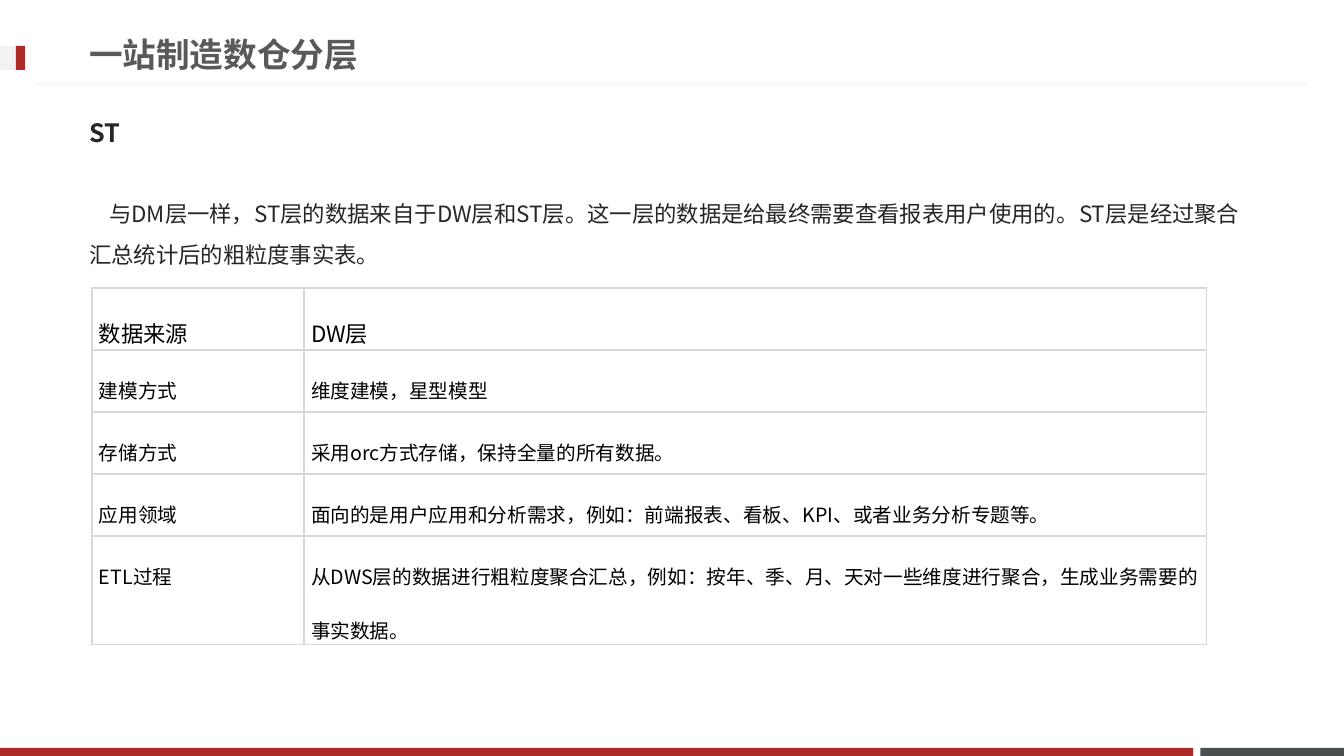
"""Build the slide that describes the ST layer of a manufacturing data warehouse."""
from lxml import etree
from pptx import Presentation, util as u
from pptx.dml.color import RGBColor
from pptx.enum import shapes, text
from pptx.oxml.ns import qn

PX = 914400 / 100.8
SANS_SC, SANS_JP = "Noto Sans CJK SC", "Noto Sans CJK JP"
RED, PALE, SLATE, BORDER = "AD2B26", "F2F2F2", "49504F", "D8D8D8"

BARS = [
    ((1200, 748, 144, 8), SLATE),
    ((0, 748, 1193, 8), RED),
    ((0, 46, 25, 24), PALE),
    ((16, 46, 9, 24), RED),
]
RULE = (1308, 85, 35, 85)
TEXTS = [
    {"words": "一站制造数仓分层", "box": (79, 26, 967, 57), "anchor": text.MSO_ANCHOR.MIDDLE,
     "font": {"name": "Lato", "size": 24, "bold": True, "color": "595959"},
     "paragraph": {}},
    {"words": "ST", "box": (79, 104, 1179, 57), "anchor": text.MSO_ANCHOR.MIDDLE,
     "font": {"name": SANS_JP, "size": 18, "bold": True, "color": "262626"},
     "paragraph": {}},
    {"words": "与DM层一样，ST层的数据来自于DW层和ST层。这一层的数据是给最终需要查看报表用户使用的。"
              "ST层是经过聚合汇总统计后的粗粒度事实表。",
     "box": (79, 182, 1179, 465), "anchor": text.MSO_ANCHOR.TOP,
     "font": {"name": SANS_JP, "size": 16, "bold": False, "color": "262626"},
     "paragraph": {"line_spacing": 1.5}, "indent": 20},
]
ROWS = [
    ("数据来源", "DW层"),
    ("建模方式", "维度建模，星型模型"),
    ("存储方式", "采用orc方式存储，保持全量的所有数据。"),
    ("应用领域", "面向的是用户应用和分析需求，例如：前端报表、看板、KPI、或者业务分析专题等。"),
    ("ETL过程", "从DWS层的数据进行粗粒度聚合汇总，例如：按年、季、月、天对一些维度进行聚合，"
              "生成业务需要的事实数据。"),
]
TABLE_LEFT, TABLE_TOP = 92, 288
COLUMN_WIDTHS = (212, 902)
ROW_HEIGHTS = (62, 62, 62, 62, 90)
CELL_FORMAT = {"margin_left": 7, "margin_right": 7, "margin_top": 0, "margin_bottom": 0}


def px(*lengths):
    return [u.Emu(round(length * PX)) for length in lengths]


def rgb(color):
    return RGBColor.from_string(color)


def set_all(target, values):
    for name, value in values.items():
        setattr(target, name, value)


def write(paragraph, words, name, size, bold, color):
    run = paragraph.add_run()
    run.text = words
    set_all(run.font, {"name": name, "size": u.Pt(size), "bold": bold})
    run.font.color.rgb = rgb(color)
    east_asian = SANS_SC if name == "Lato" else name
    etree.SubElement(run.font._element, qn("a:ea"), typeface=east_asian)


def add_bar(slide, box, color):
    bar = slide.shapes.add_shape(shapes.MSO_SHAPE.RECTANGLE, *px(*box))
    bar.shadow.inherit = False
    bar.fill.solid()
    bar.fill.fore_color.rgb = rgb(color)
    bar.line.fill.background()


def add_rule(slide):
    rule = slide.shapes.add_connector(shapes.MSO_CONNECTOR.STRAIGHT, *px(*RULE))
    rule.line.color.rgb = rgb(PALE)
    rule.line.width = u.Pt(0.75)
    etree.SubElement(rule._element.spPr, qn("a:effectLst"))


def fill_placeholder(placeholder, item):
    set_all(placeholder, dict(zip(("left", "top", "width", "height"), px(*item["box"]))))
    frame = placeholder.text_frame
    set_all(frame, {"word_wrap": True, "auto_size": text.MSO_AUTO_SIZE.NONE,
                    "vertical_anchor": item["anchor"]})
    paragraph = frame.paragraphs[0]
    set_all(paragraph, {"alignment": text.PP_ALIGN.LEFT, **item["paragraph"]})
    properties = paragraph._p.get_or_add_pPr()
    properties.set("marL", "0")
    properties.set("indent", str(px(item.get("indent", 0))[0]))
    etree.SubElement(properties, qn("a:buNone"))
    write(paragraph, item["words"], **item["font"])


def add_borders(cell):
    properties = cell._tc.get_or_add_tcPr()
    for side in ("L", "R", "T", "B"):
        line = etree.SubElement(properties, qn(f"a:ln{side}"), w=str(u.Pt(1)))
        fill = etree.SubElement(line, qn("a:solidFill"))
        etree.SubElement(fill, qn("a:srgbClr"), val=BORDER)


def add_layer_table(slide):
    box = px(TABLE_LEFT, TABLE_TOP, sum(COLUMN_WIDTHS), sum(ROW_HEIGHTS))
    table = slide.shapes.add_table(len(ROWS), len(COLUMN_WIDTHS), *box).table
    set_all(table, {"first_row": False, "horz_banding": False})
    for column, width in zip(table.columns, px(*COLUMN_WIDTHS)):
        column.width = width
    for index, (row, height) in enumerate(zip(table.rows, px(*ROW_HEIGHTS))):
        row.height = height
        for cell, words in zip(row.cells, ROWS[index]):
            set_all(cell, dict(zip(CELL_FORMAT, px(*CELL_FORMAT.values()))))
            add_borders(cell)
            cell.fill.background()
            paragraph = cell.text_frame.paragraphs[0]
            paragraph.line_spacing = 1.9
            write(paragraph, words, SANS_SC, 14 if index else 16, False, "000000")


def main():
    presentation = Presentation()
    set_all(presentation, {"slide_width": u.Inches(13.33), "slide_height": u.Inches(7.5)})
    slide = presentation.slides.add_slide(presentation.slide_layouts.get_by_name("Two Content"))
    for box, color in BARS:
        add_bar(slide, box, color)
    add_rule(slide)
    for placeholder, item in zip(slide.placeholders, TEXTS):
        fill_placeholder(placeholder, item)
    add_layer_table(slide)
    presentation.save("out.pptx")


if __name__ == "__main__":
    main()
